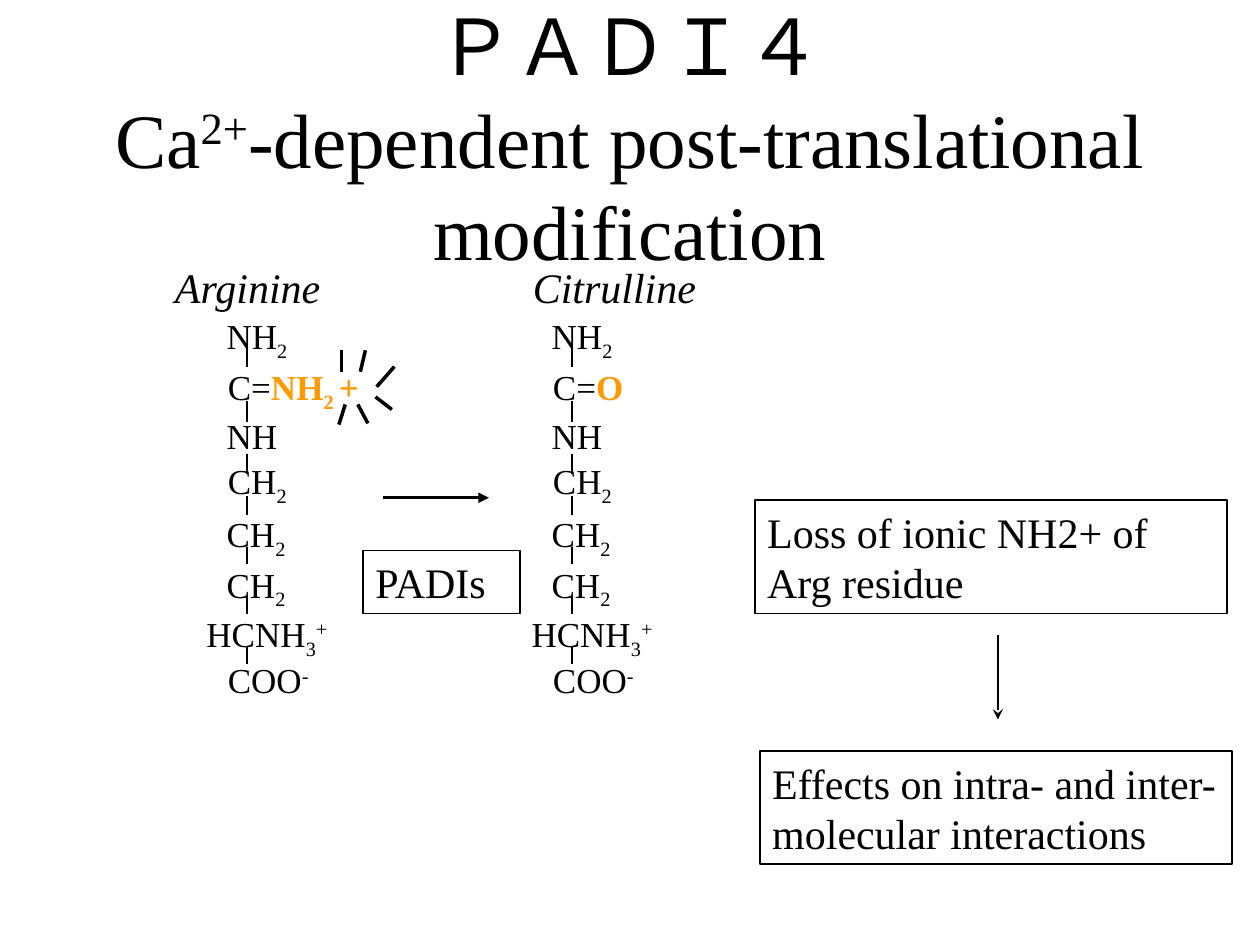
from dataclasses import dataclass
from typing import NamedTuple

from pptx import Presentation
from pptx.dml.color import RGBColor
from pptx.enum.shapes import MSO_CONNECTOR, MSO_SHAPE
from pptx.enum.text import MSO_ANCHOR, MSO_AUTO_SIZE, PP_ALIGN
from pptx.oxml.ns import qn
from pptx.util import Inches, Pt

STRAIGHT = MSO_CONNECTOR.STRAIGHT
RECTANGLE = MSO_SHAPE.RECTANGLE
TOP, MIDDLE = MSO_ANCHOR.TOP, MSO_ANCHOR.MIDDLE
FIXED = MSO_AUTO_SIZE.NONE
LEFT, CENTER = PP_ALIGN.LEFT, PP_ALIGN.CENTER


@dataclass(frozen=True)
class Theme:
    font: str = "Times New Roman"
    ink: RGBColor = RGBColor(0, 0, 0)
    paper: RGBColor = RGBColor(255, 255, 255)
    accent: RGBColor = RGBColor(0xFF, 0x99, 0x00)
    title_size: int = 44
    label_size: int = 24
    atom_size: int = 20
    thin: int = 1
    thick: int = 2
    subscript: int = -25000
    superscript: int = 30000


THEME = Theme()


class Span(NamedTuple):
    text: str
    baseline: int = 0
    accent: bool = False


class Frame(NamedTuple):
    left: float
    top: float
    width: float
    height: float


class Line(NamedTuple):
    start_x: float
    start_y: float
    end_x: float
    end_y: float


class Residue(NamedTuple):
    indent: float
    top: float
    width: float
    height: float
    spans: list[Span]


class Molecule(NamedTuple):
    name: str
    name_frame: Frame
    left: float
    side_group: Residue


class Note(NamedTuple):
    text: str
    frame: Frame
    filled: bool


SUB_2 = Span("2", THEME.subscript)
BACKBONE = [
    Residue(0.16, 2.45, 1.25, 0.48, [Span("NH"), SUB_2]),
    Residue(0.16, 3.24, 1, 0.43, [Span("NH")]),
    Residue(0.17, 3.6, 1.33, 0.48, [Span("CH"), SUB_2]),
    Residue(0.16, 4.02, 1.42, 0.48, [Span("CH"), SUB_2]),
    Residue(0.16, 4.42, 1.33, 0.48, [Span("CH"), SUB_2]),
    Residue(0, 4.81, 1.58, 0.48,
            [Span("HCNH"), Span("3", THEME.subscript), Span("+", THEME.superscript)]),
    Residue(0.17, 5.18, 1.17, 0.43, [Span("COO"), Span("-", THEME.superscript)]),
]
BOND_INDENT = 0.42
BONDS = [(2.76, 2.91), (3.18, 3.35), (3.6, 3.76), (3.94, 4.09),
         (4.34, 4.48), (4.73, 4.87), (5.13, 5.27)]
MOLECULES = [
    Molecule("Arginine", Frame(1.29, 2.03, 2.08, 0.5), 1.54,
             Residue(0.17, 2.85, 1.58, 0.48,
                     [Span("C="), Span("NH", accent=True),
                      Span("2 ", THEME.subscript, True), Span("+", accent=True)])),
    Molecule("Citrulline", Frame(4.13, 2.03, 1.75, 0.5), 4.12,
             Residue(0.17, 2.85, 1.58, 0.43, [Span("C="), Span("O", accent=True)])),
]
NOTES = [
    Note("Loss of ionic NH2+ of Arg residue", Frame(5.99, 3.97, 3.75, 0.9), False),
    Note("Effects on intra- and inter- molecular interactions",
         Frame(6.03, 5.96, 3.75, 0.9), True),
    Note("PADIs", Frame(2.88, 4.37, 1.25, 0.5), False),
]
CHARGE_RAYS = [
    Line(2.71, 2.78, 2.71, 2.95), Line(2.9, 2.78, 2.86, 2.95),
    Line(3.11, 3.25, 2.98, 3.15), Line(2.92, 3.36, 2.84, 3.21),
    Line(3.13, 2.91, 2.99, 3.07), Line(2.74, 3.21, 2.69, 3.37),
]


def inches(frame: Frame) -> list[int]:
    return [Inches(value) for value in frame]


def write(box, spans: list[Span], size: int, italic: bool = False,
          align=LEFT, anchor=TOP) -> None:
    text_frame = box.text_frame
    text_frame.word_wrap = True
    text_frame.auto_size = FIXED
    text_frame.vertical_anchor = anchor
    para = text_frame.paragraphs[0]
    para.alignment = align
    para.text = spans[0].text
    for span in spans[1:]:
        para.add_run().text = span.text
    styles = [spans[0]] * (len(para.runs) - len(spans)) + spans
    for run, span in zip(para.runs, styles):
        run.font.name = THEME.font
        run.font.size = Pt(size)
        run.font.italic = italic
        run.font.bold = span.accent
        run.font.color.rgb = THEME.accent if span.accent else THEME.ink
        if span.baseline:
            run.font._element.set("baseline", str(span.baseline))


def add_label(page, frame: Frame, spans: list[Span], size: int, italic: bool = False) -> None:
    write(page.shapes.add_textbox(*inches(frame)), spans, size, italic)


def add_note(page, note: Note) -> None:
    box = page.shapes.add_shape(RECTANGLE, *inches(note.frame))
    box.shadow.inherit = False
    if note.filled:
        box.fill.solid()
        box.fill.fore_color.rgb = THEME.paper
    else:
        box.fill.background()
    box.line.color.rgb = THEME.ink
    box.line.width = Pt(THEME.thin)
    write(box, [Span(note.text)], THEME.label_size)


def add_line(page, line: Line, width: int, head: str = "") -> None:
    connector = page.shapes.add_connector(STRAIGHT, *[Inches(value) for value in line])
    connector.line.color.rgb = THEME.ink
    connector.line.width = Pt(width)
    properties = connector._element.spPr
    if head:
        tail = properties.find(qn("a:ln")).makeelement(qn("a:tailEnd"), {"type": head})
        properties.find(qn("a:ln")).append(tail)
    properties.append(properties.makeelement(qn("a:effectLst"), {}))


def add_molecule(page, molecule: Molecule) -> None:
    add_label(page, molecule.name_frame, [Span(molecule.name)], THEME.label_size, True)
    for residue in [molecule.side_group, *BACKBONE]:
        frame = Frame(molecule.left + residue.indent, residue.top,
                      residue.width, residue.height)
        add_label(page, frame, residue.spans, THEME.atom_size)
    bond_x = molecule.left + BOND_INDENT
    for top, bottom in BONDS:
        add_line(page, Line(bond_x, top, bond_x, bottom), THEME.thin)


def main() -> None:
    deck = Presentation()
    deck.slide_width, deck.slide_height = Inches(10), Inches(7.5)
    page = deck.slides.add_slide(deck.slide_layouts[5])
    title = page.shapes.title
    title.left, title.top, title.width, title.height = inches(Frame(0.51, 0, 8.98, 2.18))
    write(title, [Span("ＰＡＤＩ４\vCa"), Span("2+", THEME.superscript),
                  Span("-dependent post-translational modification")],
          THEME.title_size, align=CENTER, anchor=MIDDLE)
    for note in NOTES:
        add_note(page, note)
    for molecule in MOLECULES:
        add_molecule(page, molecule)
    for ray in CHARGE_RAYS:
        add_line(page, ray, THEME.thick)
    add_line(page, Line(3.04, 3.95, 3.88, 3.95), THEME.thick, "triangle")
    add_line(page, Line(7.92, 5.04, 7.92, 5.71), THEME.thin, "stealth")
    deck.save("out.pptx")


if __name__ == "__main__":
    main()
